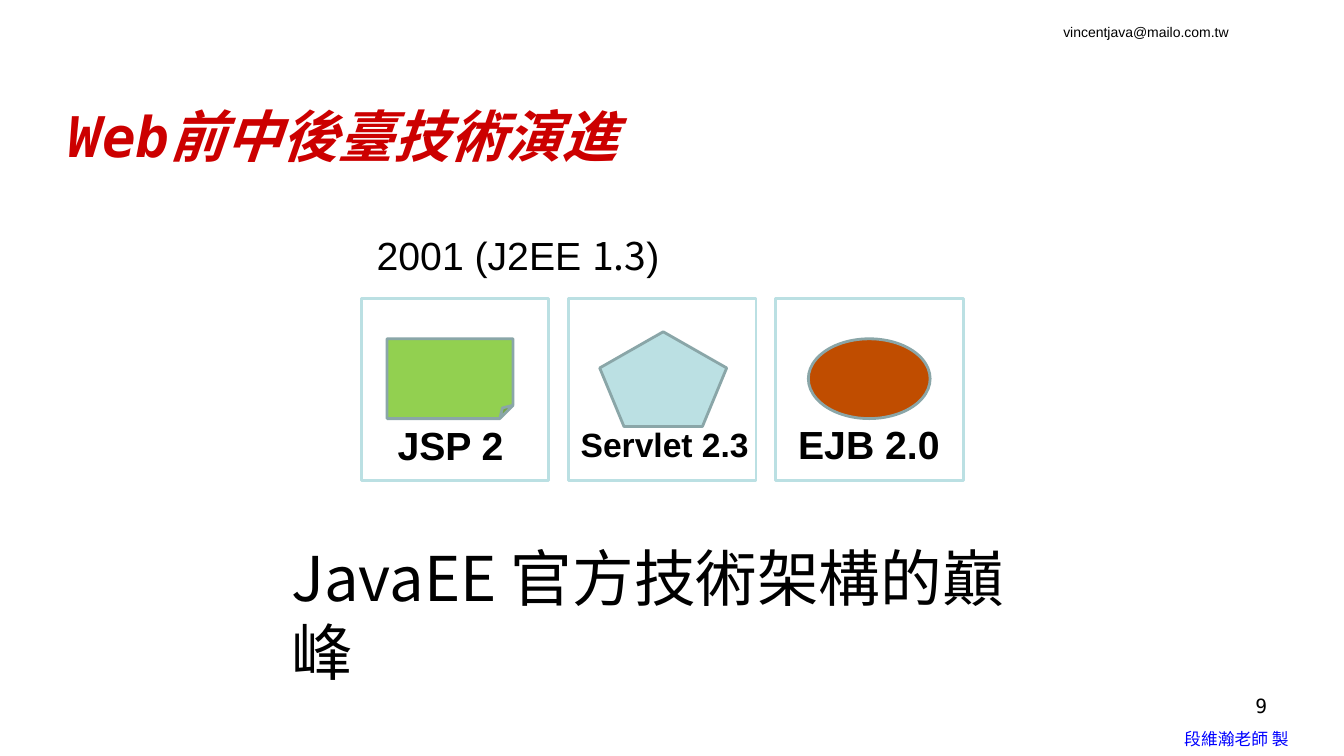
from lxml import etree
from pptx import Presentation
from pptx.dml.color import RGBColor
from pptx.enum.shapes import MSO_SHAPE
from pptx.enum.text import MSO_ANCHOR, MSO_AUTO_SIZE, PP_ALIGN
from pptx.oxml.ns import qn
from pptx.util import Pt

RECT, FOLDED = MSO_SHAPE.RECTANGLE, MSO_SHAPE.FOLDED_CORNER
PENTAGON, OVAL = MSO_SHAPE.REGULAR_PENTAGON, MSO_SHAPE.OVAL
LEFT, CENTER, RIGHT = PP_ALIGN.LEFT, PP_ALIGN.CENTER, PP_ALIGN.RIGHT
SANS, MONO, CJK = "Arial", "DejaVu Sans Mono", "Noto Sans CJK TC"
COLORS = {
    "white": "FFFFFF", "black": "000000", "red": "CC0000", "blue": "0000FF",
    "pale": "BBE0E3", "edge": "8AA6A8", "green": "92D050", "rust": "C04D00",
}

prs = Presentation()
prs.slide_width, prs.slide_height = Pt(960), Pt(540)
s = prs.slides.add_slide(prs.slide_layouts[5])


def set_text(sp, box, runs, size, color="black", bold=False, italic=False,
             align=LEFT, wrap=False):
    """Place a text shape and fill it with (text, font) runs."""
    sp.left, sp.top, sp.width, sp.height = [Pt(v) for v in box]
    tf = sp.text_frame
    tf.auto_size, tf.word_wrap = MSO_AUTO_SIZE.NONE, wrap
    p = tf.paragraphs[0]
    p.alignment = align
    p.font.size, p.font.bold, p.font.italic = Pt(size), bold, italic
    p.font.color.rgb = RGBColor.from_string(COLORS[color])
    p.font.name = runs[0][1]
    ea = etree.SubElement(p._p.pPr.find(qn("a:defRPr")), qn("a:ea"))
    ea.set("typeface", CJK)
    for text, font in runs:
        r = p.add_run()
        r.text = text
        if len(runs) > 1:
            r.font.name = font


def add_shape(kind, box, fill, line):
    sp = s.shapes.add_shape(kind, *[Pt(v) for v in box])
    sp.shadow.inherit = False
    sp.fill.solid()
    sp.fill.fore_color.rgb = RGBColor.from_string(COLORS[fill])
    sp.line.color.rgb = RGBColor.from_string(COLORS[line])
    sp.line.width = Pt(2)


# Title
title = s.shapes.title
set_text(title, (41.8, 65.5, 864, 62.6), [("Web前中後臺技術演進", MONO)], 40,
         "red", bold=True, italic=True, wrap=True)
title.text_frame.vertical_anchor = MSO_ANCHOR.MIDDLE

# Technology cards: shape, its box, fill, label, label box, label size
cards = [
    (FOLDED, (276.5, 242, 90, 57), "green",
     "JSP 2", (267.8, 297.4, 108, 41), 28),
    (PENTAGON, (428.4, 237, 90.7, 67.7), "pale",
     "Servlet 2.3", (406.8, 299.5, 136, 36), 24),
    (OVAL, (577.4, 242, 87, 57), "rust",
     "EJB 2.0", (562.3, 296.6, 116.6, 41), 28),
]
for i, (kind, icon_box, fill, label, label_box, size) in enumerate(cards):
    add_shape(RECT, (258 + 148 * i, 213, 134, 130), "white", "pale")
    add_shape(kind, icon_box, fill, "edge")
    set_text(s.shapes.add_textbox(0, 0, 0, 0), label_box, [(label, SANS)],
             size, bold=True, align=CENTER)

# Year, conclusion, header and footer: box, runs, size, colour, align, wrap
texts = [
    ((262, 162, 219, 41), [("2001 (J2EE ", SANS), ("1.3", CJK), (")", SANS)],
     28, "black", LEFT, False),
    ((201, 382.3, 561, 60.5), [("JavaEE 官方技術架構的巔峰", CJK)],
     44, "black", LEFT, True),
    ((752.4, 13, 137, 19.4), [("vincentjava@mailo.com.tw", SANS)],
     10, "black", LEFT, False),
    ((688.3, 491.8, 224, 37.4), [("9", MONO)], 14, "black", RIGHT, True),
    ((838.8, 517, 90, 21.6), [("段維瀚老師 製", CJK)],
     12, "blue", LEFT, False),
]
for box, runs, size, color, align, wrap in texts:
    set_text(s.shapes.add_textbox(0, 0, 0, 0), box, runs, size, color,
             align=align, wrap=wrap)

prs.save("out.pptx")
